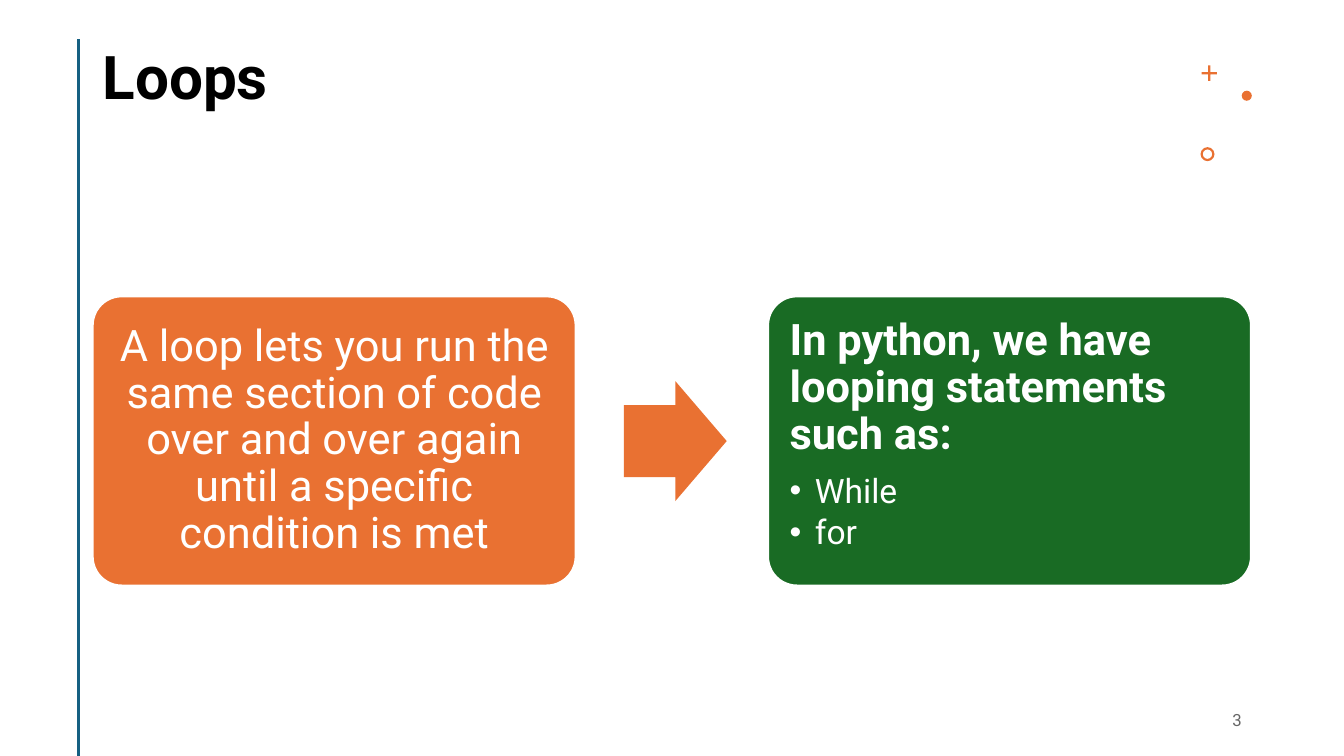
from lxml.etree import SubElement
from pptx import Presentation
from pptx.dml.color import RGBColor
from pptx.enum.shapes import MSO_CONNECTOR, MSO_SHAPE
from pptx.enum.text import MSO_ANCHOR, PP_ALIGN
from pptx.oxml.ns import qn
from pptx.util import Pt

FONT = "Roboto"
HUES = {
    "ink": "000000",
    "page": "666666",
    "white": "FFFFFF",
    "rule": "156082",
    "orange": "E97132",
    "green": "196B24",
}


def hue(name):
    return RGBColor.from_string(HUES[name])


def add_form(slide, kind, box, fill, ratios=(), edge=None):
    form = slide.shapes.add_shape(kind, *map(Pt, box))
    form.shadow.inherit = False
    form.fill.solid()
    form.fill.fore_color.rgb = hue(fill)
    if edge:
        form.line.color.rgb = hue(edge)
        form.line.width = Pt(1.5)
    else:
        form.line.fill.background()
    for index, ratio in enumerate(ratios):
        form.adjustments[index] = ratio
    return form


def set_frame(shape, anchor, pads):
    frame = shape.text_frame
    frame.word_wrap = True
    frame.vertical_anchor = anchor
    frame.margin_left = frame.margin_right = Pt(pads[0])
    frame.margin_top = frame.margin_bottom = Pt(pads[1])
    return frame


def add_text(para, words, size, color, bold=False, align=PP_ALIGN.LEFT, after=0):
    para.alignment = align
    para.line_spacing = 0.9
    para.space_after = Pt(after)
    run = para.add_run()
    run.text = words
    run.font.name = FONT
    run.font.size = Pt(size)
    run.font.bold = bold
    run.font.color.rgb = hue(color)


def add_bullet(para):
    props = para._p.get_or_add_pPr()
    props.set("marL", str(Pt(18)))
    props.set("indent", str(-Pt(18)))
    SubElement(props, qn("a:buFont"), typeface="Arial")
    SubElement(props, qn("a:buChar"), char="•")


def add_label(slide, box, anchor, words, size, color, **style):
    label = slide.shapes.add_textbox(*map(Pt, box))
    frame = set_frame(label, anchor, (7.2, 5))
    add_text(frame.paragraphs[0], words, size, color, **style)


def add_card(slide, left, fill, anchor):
    box = (left, 211.7, 345, 206.6)
    card = add_form(slide, MSO_SHAPE.ROUNDED_RECTANGLE, box, fill, [0.1], "white")
    return set_frame(card, anchor, (9.4, 9.4))


def add_rule(slide):
    rule = slide.shapes.add_connector(
        MSO_CONNECTOR.STRAIGHT, Pt(56.2), Pt(28), Pt(56.2), Pt(540))
    rule.line.color.rgb = hue("rule")
    rule.line.width = Pt(2)
    SubElement(rule._element.spPr, qn("a:effectLst"))


def add_marks(slide):
    add_form(slide, MSO_SHAPE.CROSS, (858.3, 46.8, 11, 11), "orange", [0.43])
    add_form(slide, MSO_SHAPE.OVAL, (887, 64.8, 7.2, 7.2), "orange")
    add_form(slide, MSO_SHAPE.DONUT, (857.5, 105.1, 10, 10), "orange", [0.16])


def main():
    deck = Presentation()
    deck.slide_width = Pt(960)
    deck.slide_height = Pt(540)
    slide = deck.slides.add_slide(deck.slide_layouts[6])

    add_label(slide, (66.2, 29, 774.7, 104), MSO_ANCHOR.TOP,
              "Loops", 43, "ink", bold=True)
    add_rule(slide)
    add_marks(slide)
    add_label(slide, (678.2, 500.4, 216, 28.8), MSO_ANCHOR.MIDDLE,
              "3", 12, "page", align=PP_ALIGN.RIGHT)

    about = add_card(slide, 66.2, "orange", MSO_ANCHOR.MIDDLE)
    add_text(about.paragraphs[0],
             "A loop lets you run the same section of code over and over "
             "again until a specific condition is met",
             31, "white", align=PP_ALIGN.CENTER)

    add_form(slide, MSO_SHAPE.RIGHT_ARROW, (445.7, 272.2, 73.4, 85.7),
             "orange", [0.6, 0.5])

    kinds = add_card(slide, 548.6, "green", MSO_ANCHOR.TOP)
    add_text(kinds.paragraphs[0], "In python, we have looping statements such as:",
             31, "white", bold=True, after=11)
    for word in ("While", "for"):
        para = kinds.add_paragraph()
        para.level = 1
        add_text(para, word, 24, "white", after=4)
        add_bullet(para)

    deck.save("out.pptx")


if __name__ == "__main__":
    main()
